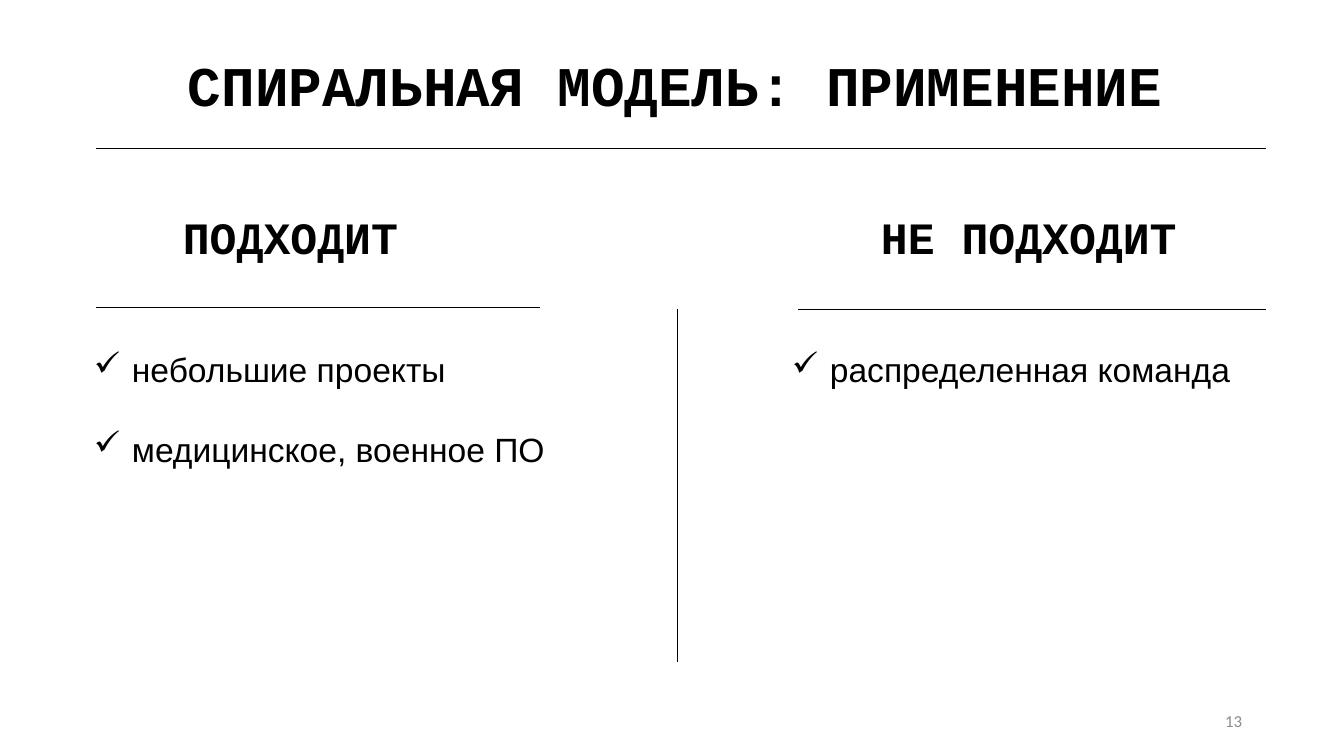
from lxml import etree
from pptx import Presentation
from pptx.dml.color import RGBColor
from pptx.enum.shapes import MSO_CONNECTOR
from pptx.enum.text import MSO_ANCHOR, PP_ALIGN
from pptx.oxml.ns import qn
from pptx.util import Pt

PX = 914400 / 100.8
COLORS = {"ink": "000000", "page_number": "8C8C8C"}
STRAIGHT = MSO_CONNECTOR.STRAIGHT
LEFT, RIGHT = PP_ALIGN.LEFT, PP_ALIGN.RIGHT
TOP, MIDDLE = MSO_ANCHOR.TOP, MSO_ANCHOR.MIDDLE


def px(length):
    return round(length * PX)


def add_text(box, lines, size, font, color="ink", bold=False, align=LEFT, anchor=TOP):
    frame = slide.shapes.add_textbox(*map(px, box)).text_frame
    frame.word_wrap = True
    frame.vertical_anchor = anchor
    frame.text = "\n".join(lines)
    for paragraph in frame.paragraphs:
        paragraph.alignment = align
        for run in paragraph.runs:
            run.font.size = Pt(size)
            run.font.name = font
            run.font.bold = bold
            run.font.color.rgb = RGBColor.from_string(COLORS[color])
    return frame


prs = Presentation()
prs.slide_width, prs.slide_height = px(1344), px(756)
slide = prs.slides.add_slide(prs.slide_layouts[6])

# Title
add_text((178, 46, 1004, 78), ["СПИРАЛЬНАЯ МОДЕЛЬ: ПРИМЕНЕНИЕ"], 40, "Courier New", bold=True)

# Two columns: heading and checklist
columns = [
    ("ПОДХОДИТ", (173, 205, 247, 65),
     ["небольшие проекты", "медицинское, военное ПО"], (84, 344, 486, 173)),
    ("НЕ ПОДХОДИТ", (871, 205, 329, 65),
     ["распределенная команда"], (782, 344, 486, 173)),
]
for heading, heading_box, items, list_box in columns:
    add_text(heading_box, [heading], 32, "Courier New", bold=True)
    checklist = add_text(list_box, items, 24, "Arial")
    for item in checklist.paragraphs:
        item.space_after = Pt(28)
        properties = item._p.get_or_add_pPr()
        properties.set("marL", str(px(38)))
        properties.set("indent", str(px(-38)))
        etree.SubElement(properties, qn("a:buChar")).set("char", "✓")

# Rules under the title and headings, and the column divider
rules = [
    (96, 148, 1266, 148),
    (96, 307, 540, 307),
    (798, 309, 1266, 309),
    (677, 309, 677, 662),
]
for ends in rules:
    rule = slide.shapes.add_connector(STRAIGHT, *map(px, ends))
    rule.line.color.rgb = RGBColor.from_string(COLORS["ink"])
    rule.line.width = Pt(0.5)
    etree.SubElement(rule._element.spPr, qn("a:effectLst"))

# Page number
add_text((950, 701, 302, 40), ["13"], 12, "Calibri", "page_number", align=RIGHT, anchor=MIDDLE)

prs.save("out.pptx")
